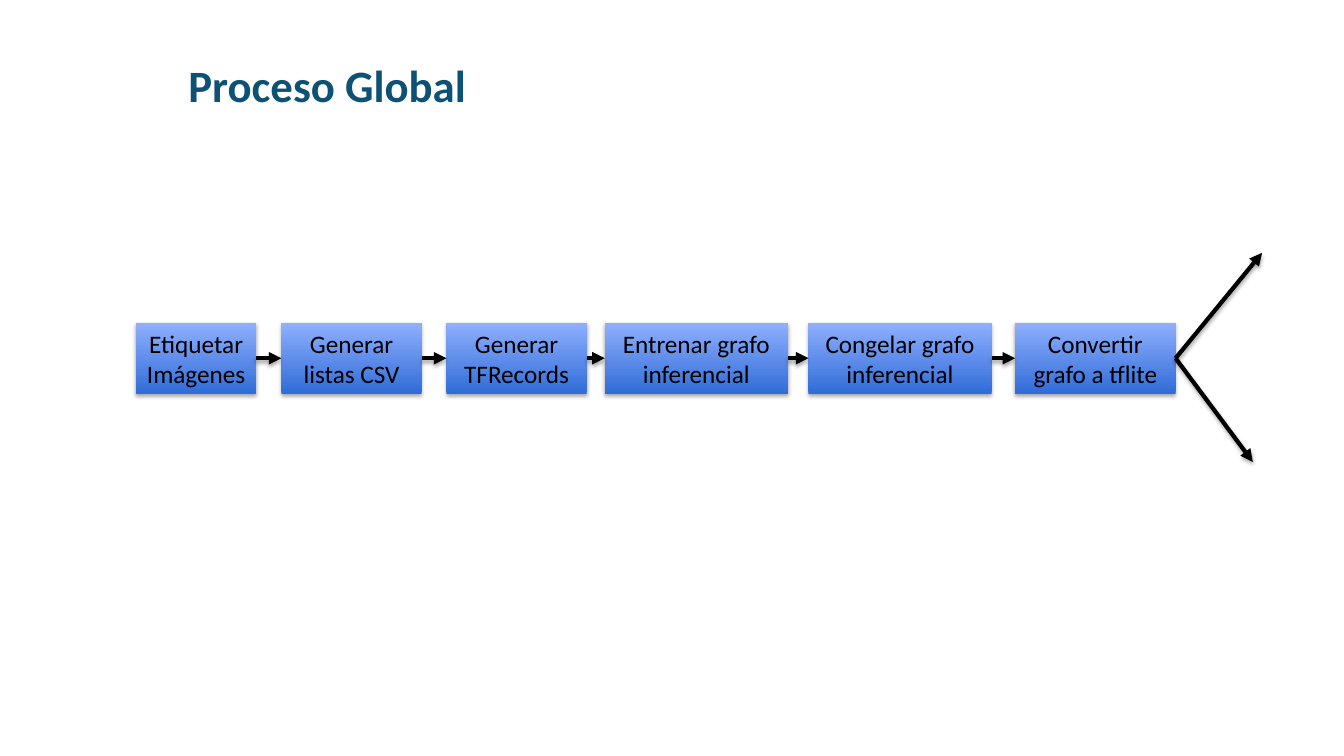
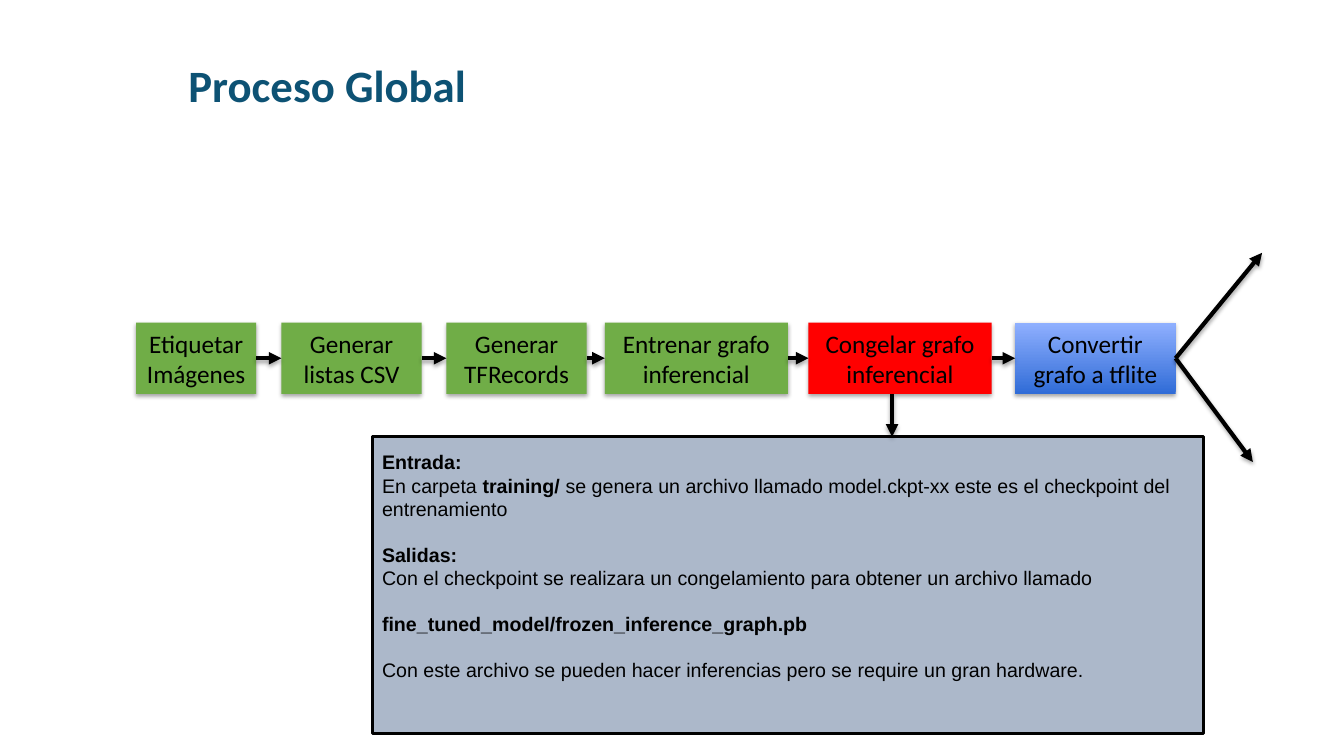
from pptx import Presentation
from pptx import util as u
from pptx.dml.color import RGBColor
from pptx.enum import shapes, text
from pptx.oxml import parse_xml
from pptx.oxml.ns import nsdecls, qn
from lxml import etree

COLORS = {
    "title": "0D5274", "ink": "000000", "done": "70AD47", "current": "FF0000",
    "panel": "ACB8CA", "pending_low": "306CD7", "pending_high": "90B0FF",
}
COLUMNS, ROWS = 160, 90

# The process, as (text, left column, width in columns)
STEPS = [
    ("Etiquetar\nImágenes", 16.2, 14.3),
    ("Generar listas CSV", 33.5, 16.7),
    ("Generar TFRecords", 53.15, 16.7),
    ("Entrenar grafo inferencial", 72, 21.8),
    ("Congelar grafo inferencial", 96.25, 21.8),
    ("Convertir grafo a tflite", 120.85, 19.1),
]
STEP_TOP, STEP_HEIGHT = 38.4, 8.5
MIDDLE = STEP_TOP + STEP_HEIGHT / 2
BRANCH_ENDS = [(150.25, 30.1), (149.15, 55)]
PANEL = (44.3, 52, 99, 35.3)

# Paragraphs of the panel: whether a gap comes before, then (text, bold) spans
DETAILS = [
    (False, [("Entrada:", True)]),
    (False, [("En carpeta ", False), ("training/ ", True),
             ("se genera un archivo llamado model.ckpt-xx este es el checkpoint "
              "del entrenamiento", False)]),
    (True, [("Salidas:", True)]),
    (False, [("Con el checkpoint se realizara un congelamiento para obtener "
              "un archivo llamado", False)]),
    (True, [("fine_tuned_model/frozen_inference_graph.pb", True)]),
    (True, [("Con este archivo se pueden hacer inferencias pero se require "
             "un gran hardware.", False)]),
]


def color(name):
    return RGBColor.from_string(COLORS[name])


class Slides:
    """Holds the deck, the style and the current page."""

    def __init__(self):
        self.deck = Presentation()
        self.deck.slide_width, self.deck.slide_height = u.Inches(13.333), u.Inches(7.5)
        self.page = None

    def x(self, columns):
        return u.Emu(round(self.deck.slide_width * columns / COLUMNS))

    def y(self, rows):
        return u.Emu(round(self.deck.slide_height * rows / ROWS))

    def area(self, left, top, width, height):
        return self.x(left), self.y(top), self.x(width), self.y(height)

    def font(self, paragraph, name, size, ink="ink", bold=None):
        font = paragraph.font
        font.name, font.size, font.bold = name, u.Pt(size), bold
        font.color.rgb = color(ink)

    def shadow(self, item):
        item._element.spPr.append(parse_xml(
            f'<a:effectLst {nsdecls("a")}><a:outerShdw blurRad="{u.Pt(3.1)}" '
            f'dist="{u.Pt(1.8)}" dir="5400000" rotWithShape="0">'
            f'<a:srgbClr val="{COLORS["ink"]}"><a:alpha val="35000"/></a:srgbClr>'
            '</a:outerShdw></a:effectLst>'))

    def start_page(self, title):
        self.page = self.deck.slides.add_slide(self.deck.slide_layouts[6])
        box = self.page.shapes.add_textbox(*self.area(21.25, 6.25, 90, 7.7))
        box.text_frame.word_wrap = True
        box.text_frame.text = title
        self.font(box.text_frame.paragraphs[0], "Calibri", 32, "title", True)

    def rectangle(self, *place):
        return self.page.shapes.add_shape(
            shapes.MSO_SHAPE.RECTANGLE, *self.area(*place))

    def step(self, label, left, width, state):
        box = self.rectangle(left, STEP_TOP, width, STEP_HEIGHT)
        if state == "pending":
            box.fill.gradient()
            box.fill.gradient_angle = 90
            for stop, level in zip(box.fill.gradient_stops, ("low", "high")):
                stop.color.rgb = color(f"pending_{level}")
        else:
            box.fill.solid()
            box.fill.fore_color.rgb = color(state)
        box.line.fill.background()
        self.shadow(box)
        box.text_frame.word_wrap = True
        box.text_frame.text = label
        for paragraph in box.text_frame.paragraphs:
            paragraph.alignment = text.PP_ALIGN.CENTER
            self.font(paragraph, "Calibri", 18)

    def arrow(self, start, end):
        line = self.page.shapes.add_connector(
            shapes.MSO_CONNECTOR.STRAIGHT, self.x(start[0]), self.y(start[1]),
            self.x(end[0]), self.y(end[1]))
        line.line.width = u.Pt(3)
        line.line.color.rgb = color("ink")
        outline = line._element.spPr.find(qn("a:ln"))
        etree.SubElement(outline, qn("a:tailEnd"), type="triangle")
        self.shadow(line)

    def process(self, states):
        for (label, left, width), state in zip(STEPS, states):
            self.step(label, left, width, state)
        for (_, left, width), (_, following, _) in zip(STEPS, STEPS[1:]):
            self.arrow((left + width, MIDDLE), (following, MIDDLE))
        _, left, width = STEPS[-1]
        for end in BRANCH_ENDS:
            self.arrow((left + width, MIDDLE), end)

    def panel(self, details):
        box = self.rectangle(*PANEL)
        box.shadow.inherit = False
        box.fill.solid()
        box.fill.fore_color.rgb = color("panel")
        box.line.color.rgb = color("ink")
        box.line.width = u.Pt(2)
        frame = box.text_frame
        frame.word_wrap = True
        frame.vertical_anchor = text.MSO_ANCHOR.TOP
        frame.margin_top = u.Inches(0.13)
        for number, (gap, spans) in enumerate(details):
            para = frame.add_paragraph() if number else frame.paragraphs[0]
            para.alignment = text.PP_ALIGN.LEFT
            para.space_before = u.Pt(16 if gap else 0)
            self.font(para, "Arial", 14)
            for words, bold in spans:
                span = para.add_run()
                span.text, span.font.bold = words, bold


def main():
    slides = Slides()

    # Overview: every step still pending
    slides.start_page("Proceso Global")
    slides.process(["pending"] * len(STEPS))

    # Freezing the graph: current step with its details
    slides.start_page("Proceso Global")
    slides.panel(DETAILS)
    slides.process(["done"] * 4 + ["current", "pending"])
    slides.arrow((106.2, STEP_TOP + STEP_HEIGHT), (106.2, PANEL[1]))

    slides.deck.save("out.pptx")


if __name__ == "__main__":
    main()
